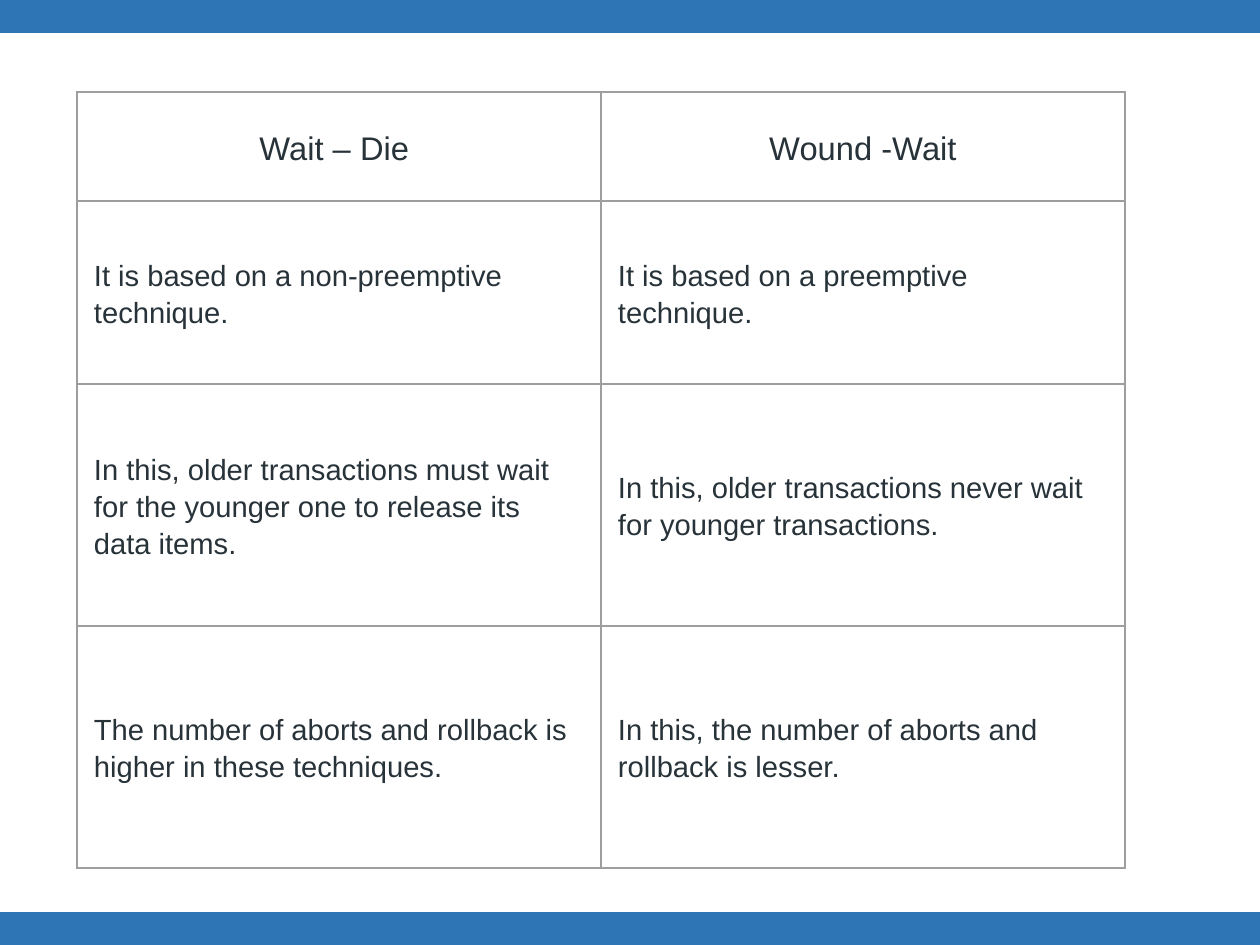
import lxml.etree
import pptx
import pptx.dml.color
import pptx.enum.shapes
import pptx.enum.text
import pptx.oxml.ns
import pptx.util
from dataclasses import dataclass


@dataclass(frozen=True)
class Theme:
    font: str = "Arial"
    bar: str = "2E75B5"
    text: str = "273239"
    border: str = "9E9E9E"
    bar_line: float = 1
    border_line: float = 0.75
    head_size: float = 14
    body_size: float = 12.5
    line_spacing: float = 1.15


def px(n):
    return pptx.util.Emu(round(n * 914400 / 168))


def rgb(value):
    return pptx.dml.color.RGBColor.from_string(value)


class SlideBuilder:
    def __init__(self, slide, theme):
        self.slide = slide
        self.theme = theme

    def bar(self, left, top, width, height):
        sp = self.slide.shapes.add_shape(
            pptx.enum.shapes.MSO_SHAPE.RECTANGLE,
            px(left), px(top), px(width), px(height))
        sp.shadow.inherit = False
        sp.fill.solid()
        sp.fill.fore_color.rgb = rgb(self.theme.bar)
        sp.line.color.rgb = rgb(self.theme.bar)
        sp.line.width = pptx.util.Pt(self.theme.bar_line)

    def table(self, left, top, col_width, row_heights, rows):
        cols = len(rows[0])
        table = self.slide.shapes.add_table(
            len(rows), cols, px(left), px(top),
            px(col_width * cols), px(sum(row_heights))).table
        table.first_row = False
        table.horz_banding = False
        for col in table.columns:
            col.width = px(col_width)
        for i, (height, texts) in enumerate(zip(row_heights, rows)):
            table.rows[i].height = px(height)
            for j, text in enumerate(texts):
                self.cell(table.cell(i, j), text, header=i == 0)

    def cell(self, cell, text, header):
        cell.fill.background()
        cell.vertical_anchor = pptx.enum.text.MSO_ANCHOR.MIDDLE
        cell.margin_left = cell.margin_right = px(17)
        cell.margin_top = cell.margin_bottom = px(17 if header else 25)
        self.borders(cell)
        p = cell.text_frame.paragraphs[0]
        align = pptx.enum.text.PP_ALIGN
        p.alignment = align.CENTER if header else align.LEFT
        p.line_spacing = self.theme.line_spacing
        r = p.add_run()
        r.text = text
        r.font.name = self.theme.font
        r.font.size = pptx.util.Pt(
            self.theme.head_size if header else self.theme.body_size)
        r.font.color.rgb = rgb(self.theme.text)

    def borders(self, cell):
        qn = pptx.oxml.ns.qn
        props = cell._tc.get_or_add_tcPr()
        # Border lines come before the fill in the cell properties
        for i, side in enumerate(("a:lnL", "a:lnR", "a:lnT", "a:lnB")):
            line = lxml.etree.Element(
                qn(side), w=str(pptx.util.Pt(self.theme.border_line)))
            fill = lxml.etree.SubElement(line, qn("a:solidFill"))
            lxml.etree.SubElement(
                fill, qn("a:srgbClr"), val=self.theme.border)
            props.insert(i, line)


def main():
    prs = pptx.Presentation()
    prs.slide_width, prs.slide_height = px(1260), px(945)
    blank = prs.slide_layouts[6]
    s = SlideBuilder(prs.slides.add_slide(blank), Theme())

    # Bars along the top and bottom edges
    for top in (0, 913):
        s.bar(0, top, 1260, 32)

    # Comparison of the two schemes
    s.table(77, 92, 524, (109, 183, 242, 242), (
        ("Wait – Die ", "Wound -Wait"),
        ("It is based on a non-preemptive technique.",
         "It is based on a preemptive technique."),
        ("In this, older transactions must wait for the younger one "
         "to release its data items.",
         "In this, older transactions never wait for younger transactions."),
        ("The number of aborts and rollback is higher in these techniques.",
         "In this, the number of aborts and rollback is lesser."),
    ))
    prs.save("out.pptx")


if __name__ == "__main__":
    main()
